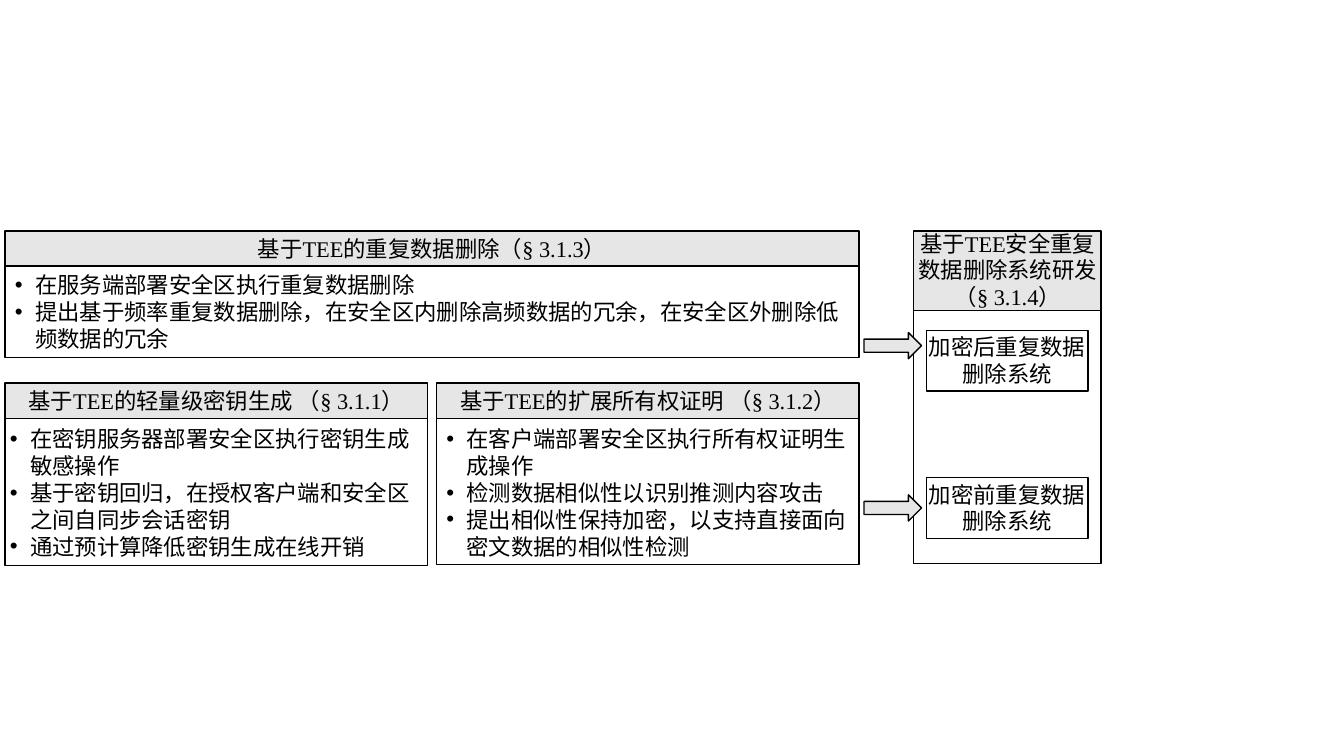
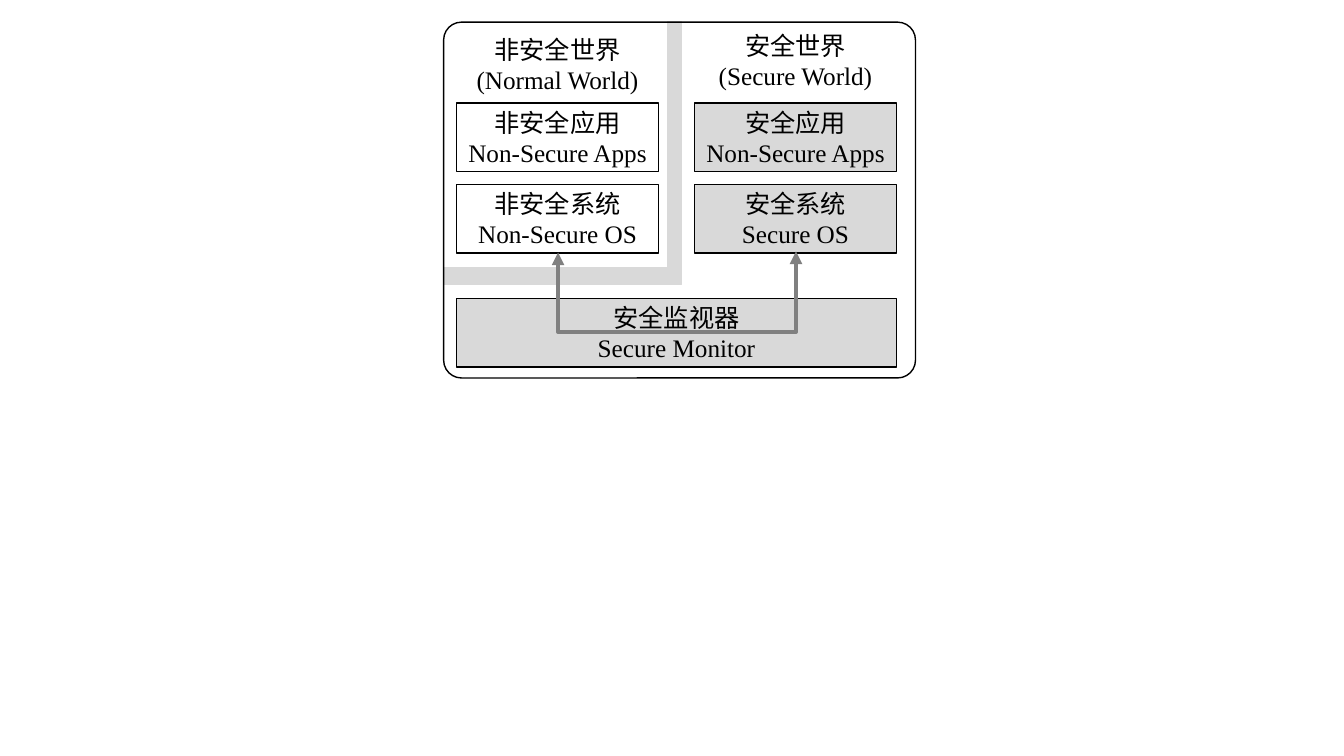
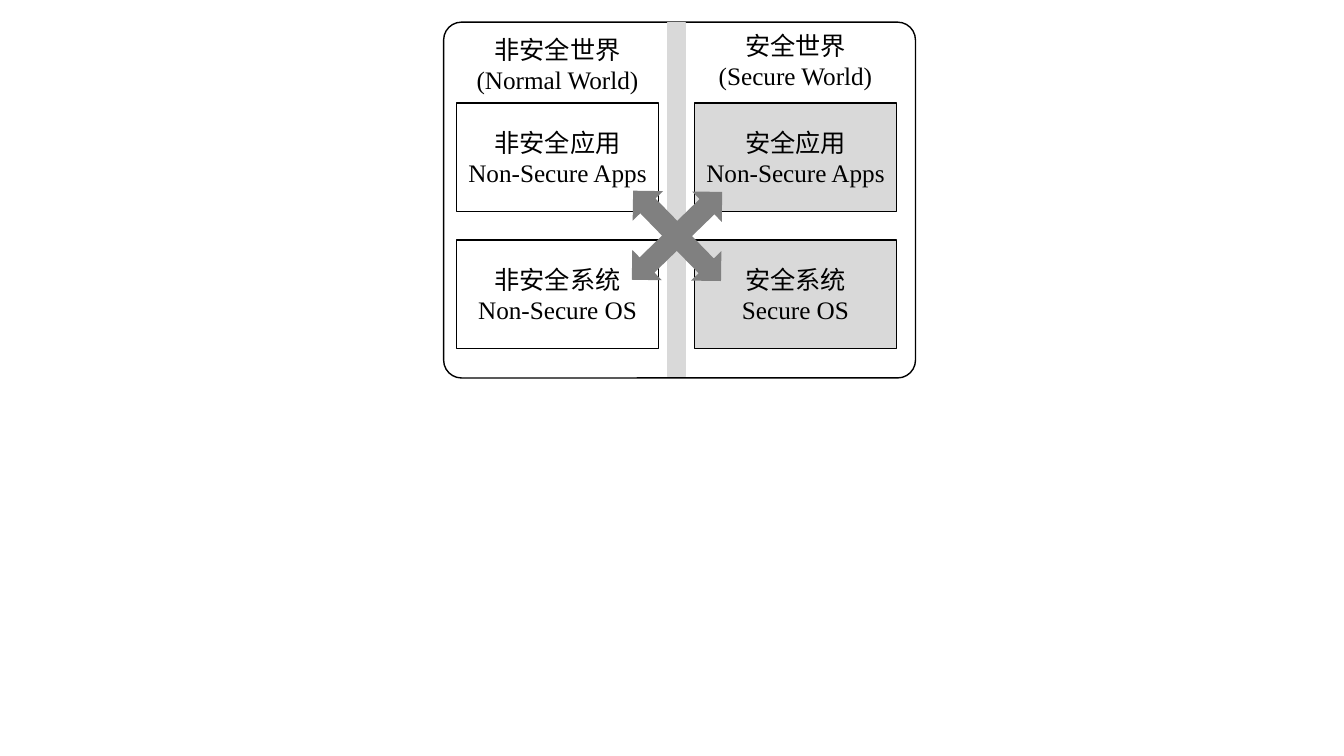
from lxml.etree import SubElement
from pptx import Presentation
from pptx.dml.color import RGBColor
from pptx.enum.shapes import MSO_CONNECTOR, MSO_SHAPE
from pptx.enum.text import MSO_ANCHOR, PP_ALIGN
from pptx.oxml.ns import qn
from pptx.util import Inches, Pt

BLACK, WHITE, PALE, GRAY, DARK = "000000", "FFFFFF", "E7E6E6", "D9D9D9", "808080"
LATIN, HAN = "Times New Roman", "Noto Sans CJK SC"


def tint(part, code):
    part.solid()
    part.fore_color.rgb = RGBColor.from_string(code)


def box(slide, at, text="", kind=MSO_SHAPE.RECTANGLE, fill=None, line=BLACK,
        size=16, font=LATIN, align=PP_ALIGN.CENTER, mark=None):
    spot = [Inches(n) for n in at]
    if kind is None:
        shape = slide.shapes.add_textbox(*spot)
    else:
        shape = slide.shapes.add_shape(kind, *spot)
        shape.shadow.inherit = False
        if fill:
            tint(shape.fill, fill)
        else:
            shape.fill.background()
        if line:
            tint(shape.line.fill, line)
            shape.line.width = Pt(1)
        else:
            shape.line.fill.background()
    if not text:
        return shape
    frame = shape.text_frame
    frame.word_wrap = True
    frame.vertical_anchor = MSO_ANCHOR.MIDDLE if kind else MSO_ANCHOR.TOP
    for i, words in enumerate(text.split("\n")):
        para = frame.paragraphs[0] if i == 0 else frame.add_paragraph()
        para.alignment = align
        if mark:
            props = para._p.get_or_add_pPr()
            props.set("marL", str(Inches(0.2)))
            props.set("indent", str(-Inches(0.2)))
            SubElement(props, qn("a:buFont")).set("typeface", "Arial")
            SubElement(props, qn("a:buChar")).set("char", mark)
        run = para.add_run()
        run.text = words
        run.font.size = Pt(size)
        run.font.name = font
        tint(run.font.fill, BLACK)
        SubElement(run._r.get_or_add_rPr(), qn("a:ea")).set("typeface", HAN)
    return shape


deck = Presentation()
deck.slide_width, deck.slide_height = Inches(13.33), Inches(7.5)
blank = deck.slide_layouts[6]

plan = deck.slides.add_slide(blank)
edge, col, gap, head = 0.05, 4.19, 0.09, 0.35
next_col = edge + col + gap
top, low = 2.29, 3.8
panels = [
    (edge, top, 2 * col + gap, 0.91, edge, 8.59, "基于TEE的重复数据删除（§ 3.1.3）",
     "在服务端部署安全区执行重复数据删除\n"
     "提出基于频率重复数据删除，在安全区内删除高频数据的冗余，在安全区外删除低频数据的冗余"),
    (edge, low, col, 1.46, 0, 4.33, "基于TEE的轻量级密钥生成 （§ 3.1.1）",
     "在密钥服务器部署安全区执行密钥生成敏感操作\n"
     "基于密钥回归，在授权客户端和安全区之间自同步会话密钥\n"
     "通过预计算降低密钥生成在线开销"),
    (next_col, low, col, 1.45, next_col, 4.28, "基于TEE的扩展所有权证明 （§ 3.1.2）",
     "在客户端部署安全区执行所有权证明生成操作\n"
     "检测数据相似性以识别推测内容攻击\n"
     "提出相似性保持加密，以支持直接面向密文数据的相似性检测"),
]
for x, y, wide, tall, left, span, title, points in panels:
    box(plan, (x, y, wide, head), title, fill=PALE)
    box(plan, (x, y + head, wide, tall))
    drop = 0.02 if y == low else 0
    box(plan, (left, y + head + drop, span, tall), points, kind=None,
        align=PP_ALIGN.LEFT, mark="•")

side, broad = 9.06, 1.86
box(plan, (side, top, broad, 0.79), fill=PALE)
box(plan, (8.92, 2.23, 2.15, 0.91), "基于TEE安全重复数据删除系统研发\n（§ 3.1.4）", kind=None)
box(plan, (side, top + 0.79, broad, 2.51))
for y, shift, name in [(3.28, 0.02, "加密后重复数据删除系统"),
                       (4.74, 0.17, "加密前重复数据删除系统")]:
    box(plan, (side + 0.13, y, 1.6, 0.6))
    box(plan, (side, y - 0.02, broad, 0.64), name, kind=None, font=HAN)
    box(plan, (8.57, y + shift, 0.57, 0.26), kind=MSO_SHAPE.RIGHT_ARROW, fill=PALE)

cols, row, cell = (4.53, 6.89), 1.02, 2
fills = (WHITE, GRAY)
heads = [("非安全世界(Normal World)", 0.29), ("安全世界\n(Secure World)", 0.25)]
names = [("非安全应用\nNon-Secure Apps", "非安全系统\nNon-Secure OS"),
         ("安全应用\nNon-Secure Apps", "安全系统\nSecure OS")]
worlds = []
for tall, step in [(0.68, 0.81), (1.08, 1.36)]:
    world = deck.slides.add_slide(blank)
    worlds.append(world)
    if len(worlds) == 1:
        wall = box(world, (4.4, 0.22, 2.36, 2.6), kind=MSO_SHAPE.CORNER, fill=GRAY, line=GRAY)
        wall.adjustments[0], wall.adjustments[1] = 0.07, 0.06
        wall.element.spPr.find(qn("a:xfrm")).set("flipH", "1")
        box(world, (cols[0], 2.96, 4.36, 0.68), "安全监视器\nSecure Monitor", fill=GRAY, size=18)
    shell = box(world, (4.4, 0.22, 4.68, 3.53), kind=MSO_SHAPE.ROUNDED_RECTANGLE)
    shell.adjustments[0] = 0.05
    for x, fill, (title, y), stack in zip(cols, fills, heads, names):
        box(world, (x, y, cell, 0.64), title, kind=None, size=18)
        for i, name in enumerate(stack):
            box(world, (x, row + i * step, cell, tall), name, fill=fill, size=18)

link = worlds[0].shapes.add_connector(
    MSO_CONNECTOR.ELBOW, Inches(6.71), Inches(1.32), Inches(6.72), Inches(3.68))
tint(link.line.fill, DARK)
link.line.width = Pt(3)
props = link.element.spPr
props.find(qn("a:xfrm")).set("rot", "5400000")
bend = SubElement(props.find(qn("a:prstGeom")).find(qn("a:avLst")), qn("a:gd"))
bend.set("name", "adj1")
bend.set("fmla", "val 8100000")
for end in ("a:headEnd", "a:tailEnd"):
    SubElement(props.find(qn("a:ln")), qn(end)).set("type", "triangle")
SubElement(props, qn("a:effectLst"))

box(worlds[1], (6.62, 0.23, 0.18, 3.5), fill=GRAY, line=GRAY)
for turn in (45.8, 315.8):
    arrow = box(worlds[1], (6.09, 2.13, 1.25, 0.42), kind=MSO_SHAPE.LEFT_RIGHT_ARROW,
                fill=DARK, line=None)
    arrow.rotation = turn

deck.save("out.pptx")
